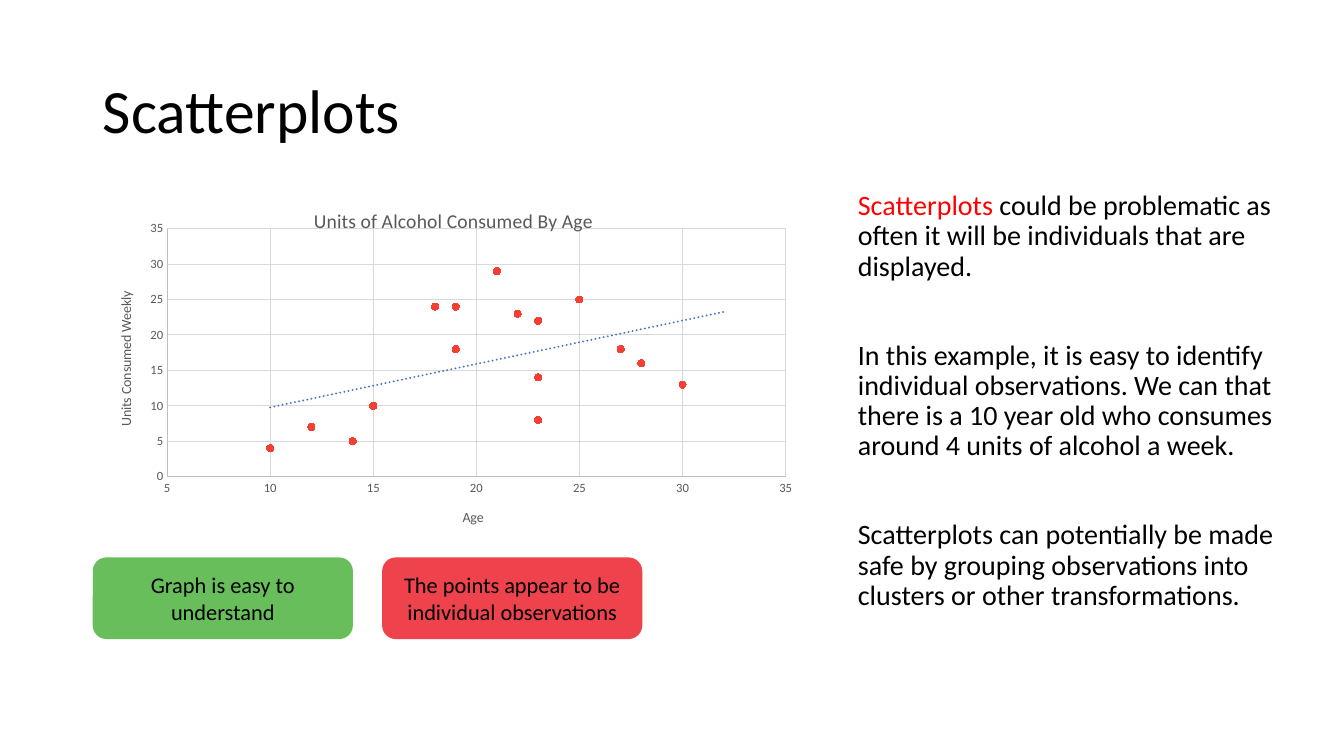
from lxml import etree
from pptx import Presentation
from pptx.chart.data import XyChartData
from pptx.dml.color import RGBColor
from pptx.enum.chart import XL_CHART_TYPE as ChartType, XL_MARKER_STYLE as Marker, XL_TICK_MARK as Tick
from pptx.enum.shapes import MSO_SHAPE as Shape
from pptx.enum.text import MSO_ANCHOR as Anchor, PP_ALIGN as Align
from pptx.oxml import parse_xml
from pptx.oxml.ns import nsdecls, qn
from pptx.util import Inches, Pt


def style(font, size, color):
    values = {"name": "Calibri", "size": Pt(size), "bold": False}
    for name, value in values.items():
        setattr(font, name, value)
    font.color.rgb = RGBColor.from_string(color)


def place(element, index, **fractions):
    """Give a chart part a manual layout, in fractions of the chart."""
    for old in element.findall(qn("c:layout")):
        element.remove(old)
    layout = parse_xml(f"<c:layout {nsdecls('c')}><c:manualLayout/></c:layout>")
    for name, value in fractions.items():
        etree.SubElement(layout[0], qn(f"c:{name}")).set("val", str(value))
    element.insert(index, layout)


deck = Presentation()
deck.slide_width, deck.slide_height = Inches(13.33), Inches(7.5)
page = deck.slides.add_slide(deck.slide_layouts[5])

# Title
title = page.shapes.title
title.left, title.top, title.width, title.height = map(Inches, (0.92, 0.4, 11.5, 1.45))
title.text_frame.text = "Scatterplots"
title.text_frame.vertical_anchor = Anchor.MIDDLE
para = title.text_frame.paragraphs[0]
para.alignment, para.line_spacing = Align.LEFT, 0.9
style(para.font, 44, "000000")

# Commentary on the right
commentary = [
    [("Scatterplots", "FF0000"),
     (" could be problematic as often it will be individuals that are displayed.", "000000")],
    [("In this example, it is easy to identify individual observations. We can that there is "
      "a 10 year old who consumes around 4 units of alcohol a week.", "000000")],
    [("Scatterplots can potentially be made safe by grouping observations into clusters or "
      "other transformations.", "000000")],
]
box = page.shapes.add_textbox(*map(Inches, (8.41, 1.85, 4.61, 4.76)))
frame = box.text_frame
frame.word_wrap = True
for number, spans in enumerate(commentary):
    para = frame.add_paragraph() if number else frame.paragraphs[0]
    para.line_spacing = 0.9
    para.space_before = Pt(42 if number else 0)
    for text, color in spans:
        span = para.add_run()
        span.text = text
        style(span.font, 20, color)

# Scatter chart
points = [(10, 4), (12, 7), (14, 5), (15, 10), (18, 24), (19, 24), (19, 18), (21, 29),
          (22, 23), (23, 8), (23, 14), (23, 22), (25, 25), (27, 18), (28, 16), (30, 13)]
data = XyChartData()
observations = data.add_series("Series 1")
for age, units in points:
    observations.add_data_point(age, units)
chart = page.shapes.add_chart(
    ChartType.XY_SCATTER, *map(Inches, (0.92, 1.85, 7.1, 3.41)), data).chart
chart.has_legend = False
style(chart.font, 10, "000000")
plot = chart.plots[0]
plot.vary_by_categories = False
place(chart.element.find(f".//{qn('c:plotArea')}"), 0, layoutTarget="inner",
      xMode="edge", yMode="edge", x=0.104, y=0.123, w=0.864, h=0.722)

# Chart and axis titles
chart.has_title = True
across, up = chart.category_axis, chart.value_axis
titles = [
    (chart.chart_title, "Units of Alcohol Consumed By Age", 14, 0.304, 0.05),
    (across.axis_title, "Age", 10, 0.513, 0.93),
    (up.axis_title, "Units Consumed Weekly", 10, 0.03, 0.298),
]
for heading, text, size, x, y in titles:
    heading.text_frame.text = text
    style(heading.text_frame.paragraphs[0].runs[0].font, size, "595959")
    place(heading.element, 1, xMode="edge", yMode="edge", x=x, y=y)

# Axes and gridlines
for axis, minimum in ((across, 5), (up, 0)):
    values = {"minimum_scale": minimum, "maximum_scale": 35, "major_unit": 5,
              "major_tick_mark": Tick.NONE, "minor_tick_mark": Tick.NONE,
              "has_major_gridlines": True}
    for name, value in values.items():
        setattr(axis, name, value)
    style(axis.tick_labels.font, 9, "595959")
    for line, color in ((axis.format.line, "BFBFBF"),
                        (axis.major_gridlines.format.line, "D9D9D9")):
        line.color.rgb = RGBColor.from_string(color)
        line.width = Pt(0.75)

# Markers and trend line
series = plot.series[0]
series.format.line.fill.background()
series.marker.style, series.marker.size = Marker.CIRCLE, 5
red = RGBColor.from_string("F53F33")
series.marker.format.fill.solid()
series.marker.format.fill.fore_color.rgb = red
series.marker.format.line.color.rgb = red
trend = parse_xml(
    f"<c:trendline {nsdecls('c', 'a')}><c:spPr><a:ln w='19050' cap='rnd'>"
    "<a:solidFill><a:srgbClr val='4472C4'/></a:solidFill><a:prstDash val='sysDot'/></a:ln></c:spPr>"
    "<c:trendlineType val='linear'/><c:forward val='2'/>"
    "<c:dispRSqr val='0'/><c:dispEq val='0'/></c:trendline>")
chart.element.find(f".//{qn('c:xVal')}").addprevious(trend)

# Verdict boxes
verdicts = [(0.92, "68BE5B", "Graph is easy to understand"),
            (3.79, "EE434C", "The points appear to be individual observations")]
for left, color, text in verdicts:
    verdict = page.shapes.add_shape(Shape.ROUNDED_RECTANGLE, *map(Inches, (left, 5.53, 2.58, 0.81)))
    verdict.shadow.inherit = False
    verdict.fill.solid()
    verdict.fill.fore_color.rgb = RGBColor.from_string(color)
    verdict.line.fill.background()
    verdict.text_frame.word_wrap = True
    verdict.text_frame.vertical_anchor = Anchor.MIDDLE
    para = verdict.text_frame.paragraphs[0]
    para.alignment = Align.CENTER
    span = para.add_run()
    span.text = text
    style(span.font, 16, "000000")

deck.save("out.pptx")
